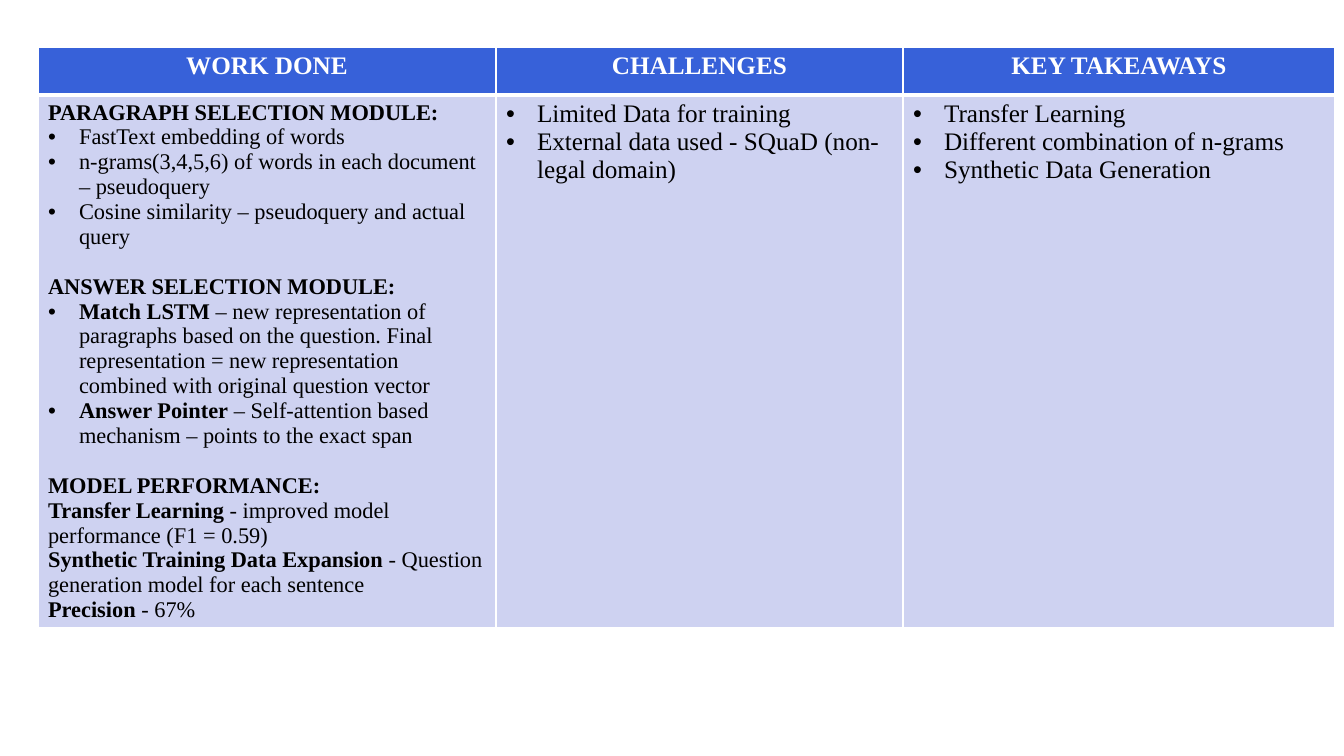
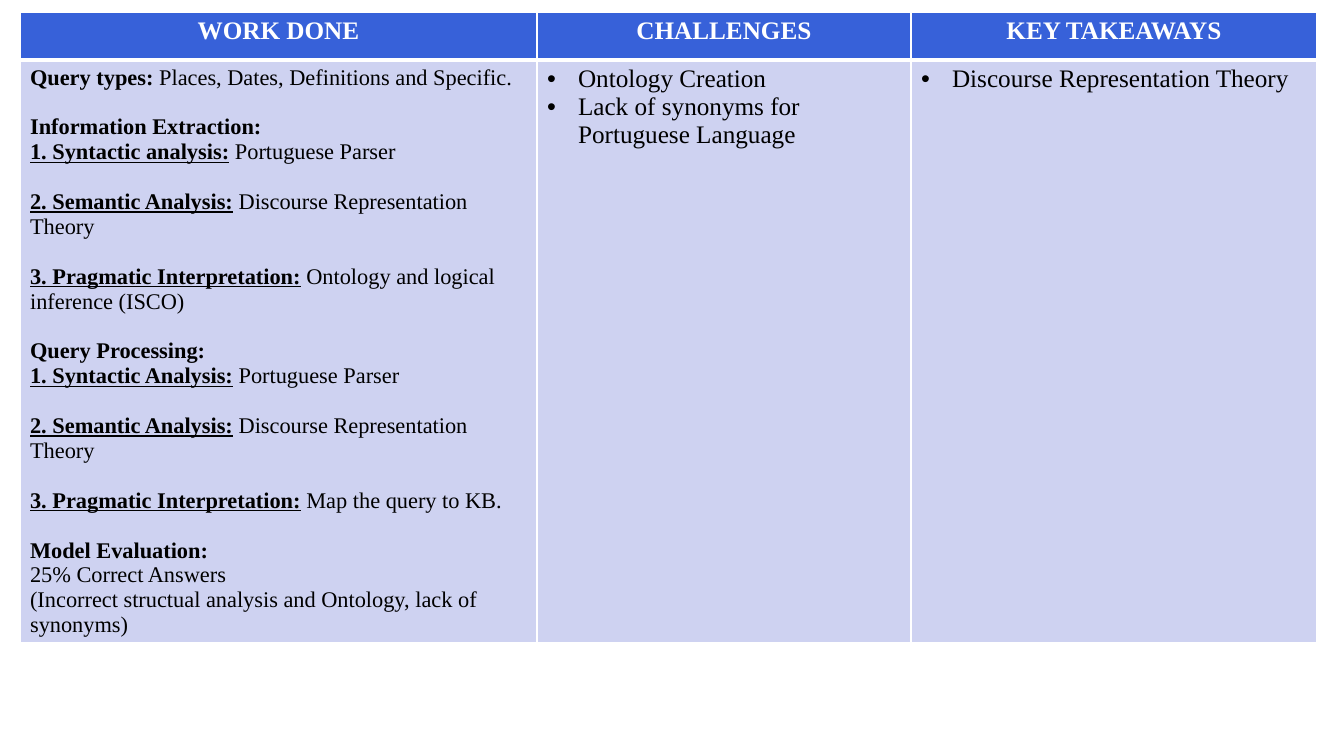
"""Build two summary slides, each a three-column table of work, challenges and takeaways."""
from dataclasses import dataclass

from lxml.etree import SubElement
from pptx import Presentation
from pptx.dml.color import RGBColor
from pptx.enum.text import PP_ALIGN
from pptx.oxml.ns import qn
from pptx.slide import Slide
from pptx.table import _Cell
from pptx.text.text import _Paragraph
from pptx.util import Emu, Pt

WHITE = RGBColor(0xFF, 0xFF, 0xFF)
BLACK = RGBColor(0x00, 0x00, 0x00)
BLUE = RGBColor(0x37, 0x61, 0xD9)
LAVENDER = RGBColor(0xCE, 0xD2, 0xF1)
FONT = "Times New Roman"
LARGE, SMALL = 18, 16
SECTION_GAP = 17.8
HEAD_H = 48
INDENT = 31
HEADINGS = ("WORK DONE", "CHALLENGES", "KEY TAKEAWAYS")


@dataclass(frozen=True)
class Para:
    """A paragraph with a bold lead and plain remaining text."""
    lead: str = ""
    rest: str = ""
    bullet: bool = False
    underline: bool = False
    gap: bool = False


@dataclass(frozen=True)
class Summary:
    """Table geometry in pixels and the contents of its three columns."""
    left: int
    top: int
    widths: tuple[int, int, int]
    body_h: int
    work: list[Para]
    challenges: list[Para]
    takeaways: list[Para]


def px(n: int) -> Emu:
    """Turn pixels into EMU."""
    return Emu(round(n * 914400 / 100.8))


def bullets(*texts: str) -> list[Para]:
    """Make plain bulleted paragraphs."""
    return [Para(rest=text, bullet=True) for text in texts]


def step(lead: str, rest: str, gap: bool = True) -> Para:
    """Make a numbered step with an underlined lead."""
    return Para(lead, "\u00a0" + rest, underline=True, gap=gap)


def add_run(p: _Paragraph, text: str, size: int, color: RGBColor,
            bold: bool = False, underline: bool = False) -> None:
    """Add one formatted run."""
    r = p.add_run()
    r.text = text
    r.font.name, r.font.size = FONT, Pt(size)
    r.font.bold, r.font.underline = bold, underline
    r.font.color.rgb = color


def add_bullet(p: _Paragraph) -> None:
    """Give a paragraph a round bullet with a hanging indent."""
    pPr = p._p.get_or_add_pPr()
    pPr.set("marL", str(px(INDENT)))
    pPr.set("indent", str(-px(INDENT)))
    SubElement(pPr, qn("a:buFont"), typeface="Arial")
    SubElement(pPr, qn("a:buChar"), char="•")


def style_cell(cell: _Cell, fill: RGBColor, top: int, bottom: int) -> None:
    """Set the white borders, in points, and the fill of a cell."""
    tcPr = cell._tc.get_or_add_tcPr()
    for side, width in (("L", 1), ("R", 1), ("T", top), ("B", bottom)):
        ln = SubElement(tcPr, qn(f"a:ln{side}"), w=str(Pt(width)))
        color = SubElement(ln, qn("a:solidFill"))
        SubElement(color, qn("a:srgbClr"), val=str(WHITE))
    cell.fill.solid()
    cell.fill.fore_color.rgb = fill


def fill_heading(cell: _Cell, text: str) -> None:
    """Write a column heading."""
    style_cell(cell, BLUE, 1, 3)
    p = cell.text_frame.paragraphs[0]
    p.alignment = PP_ALIGN.CENTER
    add_run(p, text, LARGE, WHITE, bold=True)


def fill_body(cell: _Cell, paras: list[Para], size: int) -> None:
    """Write the paragraphs of a body cell."""
    style_cell(cell, LAVENDER, 3, 1)
    tf = cell.text_frame
    for i, para in enumerate(paras):
        p = tf.add_paragraph() if i else tf.paragraphs[0]
        if para.gap:
            p.space_before = Pt(SECTION_GAP)
        if para.bullet:
            add_bullet(p)
        if para.lead:
            add_run(p, para.lead, size, BLACK, True, para.underline)
        if para.rest:
            add_run(p, para.rest, size, BLACK)


def add_summary(s: Slide, summary: Summary) -> None:
    """Draw the summary table on a slide."""
    table = s.shapes.add_table(
        2, len(HEADINGS), px(summary.left), px(summary.top),
        px(sum(summary.widths)), px(HEAD_H + summary.body_h)).table
    table.horz_banding = False
    table.rows[0].height = px(HEAD_H)
    table.rows[1].height = px(summary.body_h)
    columns = (summary.work, summary.challenges, summary.takeaways)
    for i, (heading, width, paras) in enumerate(zip(HEADINGS, summary.widths, columns)):
        table.columns[i].width = px(width)
        fill_heading(table.cell(0, i), heading)
        fill_body(table.cell(1, i), paras, LARGE if i else SMALL)


SUMMARIES = (
    Summary(
        38, 47, (458, 407, 432), 532,
        work=[
            Para("PARAGRAPH SELECTION MODULE:"),
            *bullets("FastText embedding of words",
                     "n-grams(3,4,5,6) of words in each document – pseudoquery",
                     "Cosine similarity – pseudoquery and actual query"),
            Para("ANSWER SELECTION MODULE:", gap=True),
            Para("Match LSTM", " – new representation of paragraphs based on the question. "
                 "Final representation = new representation combined with original "
                 "question vector", bullet=True),
            Para("Answer Pointer", " – Self-attention based mechanism – points to the "
                 "exact span", bullet=True),
            Para("MODEL PERFORMANCE:", gap=True),
            Para("Transfer Learning", "\u00a0- improved model performance (F1 = 0.59)"),
            Para("Synthetic Training Data Expansion",
                 "\u00a0- Question generation model for each sentence"),
            Para("Precision", "\u00a0- 67%"),
        ],
        challenges=bullets("Limited Data for training",
                           "External data used -\u00a0SQuaD (non-legal domain)"),
        takeaways=bullets("Transfer Learning", "Different combination of n-grams",
                          "Synthetic Data Generation"),
    ),
    Summary(
        20, 12, (517, 374, 406), 582,
        work=[
            Para("Query types: ", "Places, Dates, Definitions and Specific."),
            Para("Information Extraction:", gap=True),
            step("1. Syntactic analysis:", "Portuguese Parser", gap=False),
            step("2. Semantic Analysis:", "Discourse Representation Theory"),
            step("3. Pragmatic Interpretation:", "Ontology and logical inference (ISCO)"),
            Para("Query Processing:", gap=True),
            step("1. Syntactic Analysis:", "Portuguese Parser", gap=False),
            step("2. Semantic Analysis:", "Discourse Representation Theory"),
            step("3. Pragmatic Interpretation:", "Map the query to KB."),
            Para("Model Evaluation:", gap=True),
            Para(rest="25% Correct Answers"),
            Para(rest="(Incorrect structual analysis and Ontology, lack of synonyms)"),
        ],
        challenges=bullets("Ontology Creation", "Lack of synonyms for Portuguese Language"),
        takeaways=bullets("Discourse Representation Theory"),
    ),
)

prs = Presentation()
prs.slide_width, prs.slide_height = px(1344), px(756)
for summary in SUMMARIES:
    add_summary(prs.slides.add_slide(prs.slide_layouts[6]), summary)
prs.save("out.pptx")
